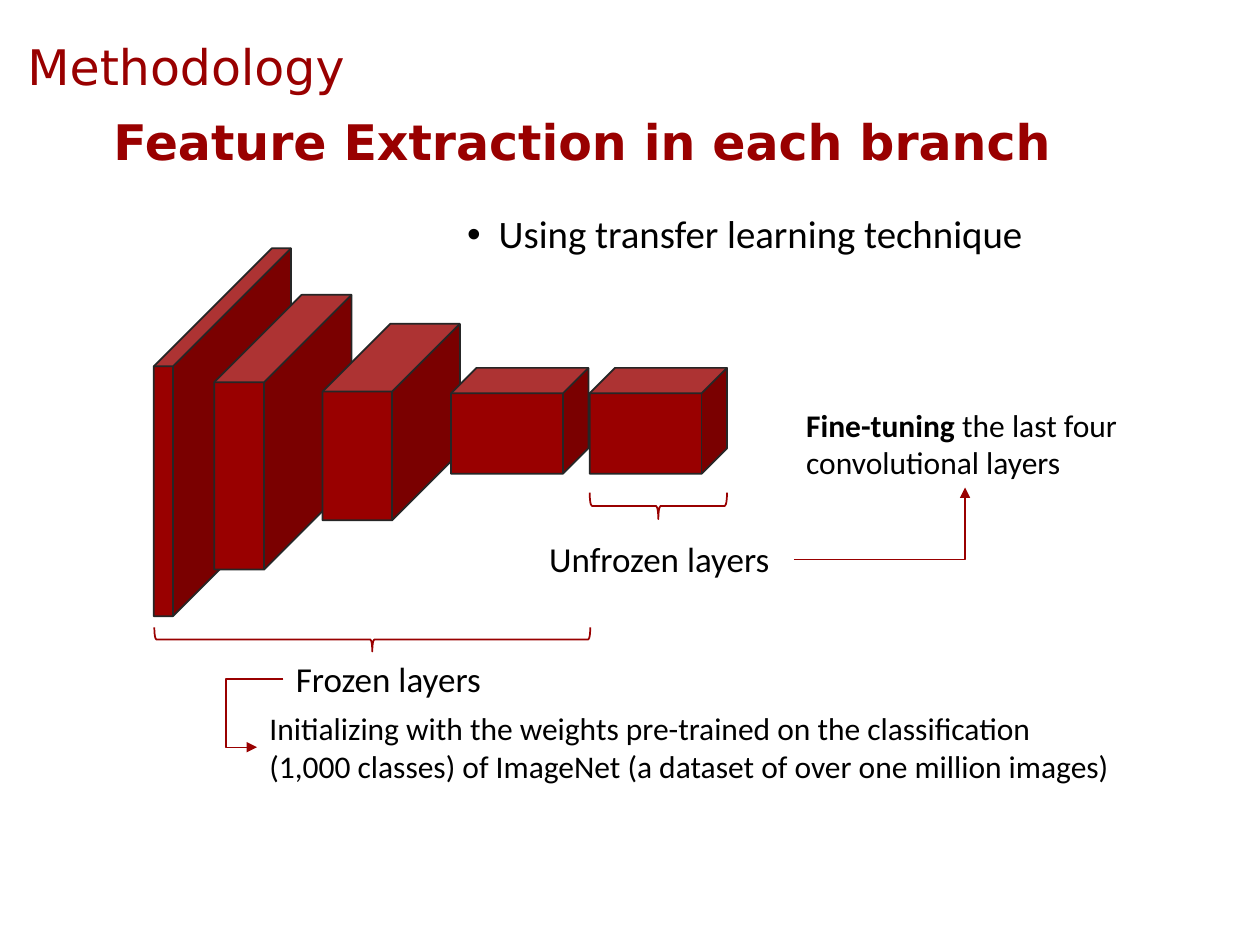
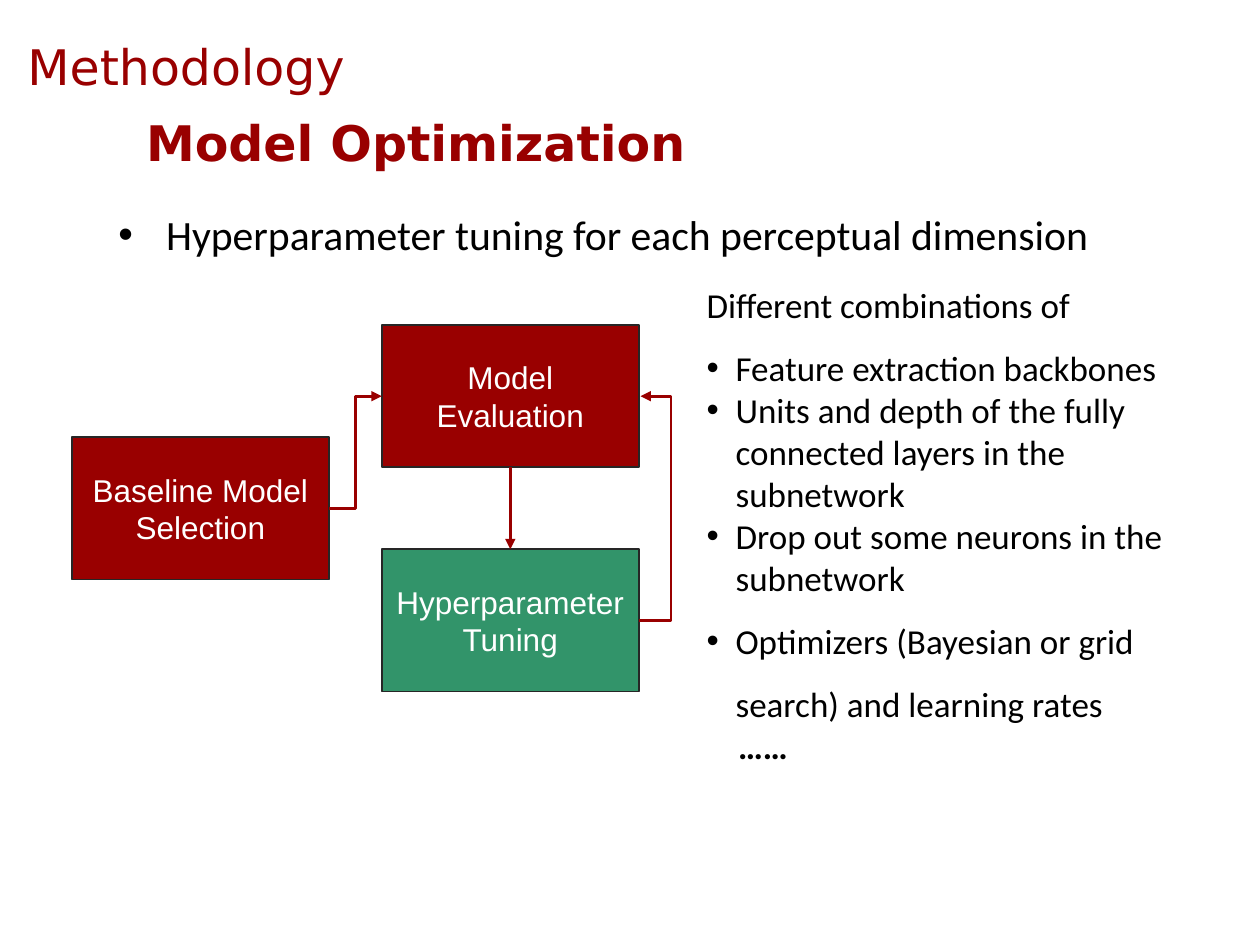
from dataclasses import dataclass
from typing import Optional

from lxml import etree
from pptx import Presentation
from pptx import util as u
from pptx.dml.color import RGBColor
from pptx.enum import shapes, text
from pptx.oxml import ns

CRIMSON = RGBColor(0x99, 0x00, 0x00)
GREEN = RGBColor(0x32, 0x94, 0x6A)
CHARCOAL = RGBColor(0x26, 0x26, 0x26)
BLACK = RGBColor(0, 0, 0)
WHITE = RGBColor(255, 255, 255)

BODY_FONT = "Calibri"
TITLE_FONT = "DejaVu Sans"
BOX_FONT = "Arial"
TITLE_SIZE = 28
SLIDE_WIDTH = u.Inches(10)
SLIDE_HEIGHT = u.Inches(7.5)
COLUMNS, ROWS = 100, 75
TITLE_ONLY = 5


@dataclass(frozen=True)
class Area:
    left: float
    top: float
    width: float
    height: float

    def emu(self) -> tuple:
        return cols(self.left), rows(self.top), cols(self.width), rows(self.height)


@dataclass(frozen=True)
class Para:
    text: str
    lead: str = ""
    indent: float = 0
    bullet: bool = False
    spacing: Optional[float] = None
    bold: bool = False


@dataclass(frozen=True)
class Caption:
    area: Area
    paras: tuple
    size: float


@dataclass(frozen=True)
class Layer:
    left: float
    top: float
    height: float
    depth: float


@dataclass(frozen=True)
class Brace:
    left: float
    top: float
    span: float
    depth: float


@dataclass(frozen=True)
class Step:
    label: str
    column: float
    row: float
    fill: RGBColor


@dataclass(frozen=True)
class Arrow:
    start: tuple
    end: tuple
    weight: float
    bend: Optional[float] = None
    preset: str = "bentConnector3"


LAYER_WIDTH = 10.9
LAYERS = (
    Layer(12.2, 19.7, 29.2, 0.86),
    Layer(17, 23.4, 21.8, 0.636),
    Layer(25.6, 25.7, 15.6, 0.493),
    Layer(35.8, 29.2, 8.4, 0.24),
    Layer(46.8, 29.2, 8.4, 0.24),
)
BRACES = (Brace(46.8, 39.1, LAYER_WIDTH, 2.1), Brace(12.25, 49.8, 34.6, 1.9))
LAYER_ARROWS = (
    Arrow((63, 44.4), (76.6, 38.7), 0.75, preset="bentConnector2"),
    Arrow((22.5, 53.9), (20.4, 59.3), 0.75, bend=2.18),
)
LAYER_CAPTIONS = (
    Caption(Area(42.6, 42.2, 20.5, 4.4), (Para("Unfrozen layers"),), 20),
    Caption(Area(22.5, 51.7, 17.6, 4.4), (Para("Frozen layers"),), 20),
    Caption(Area(63, 31.7, 27.1, 7.1),
            (Para(" the last four convolutional layers", lead="Fine-tuning"),), 18),
    Caption(Area(20.4, 55.8, 69, 7.1),
            (Para("Initializing with the weights pre-trained on the classification "
                  "(1,000 classes) of ImageNet (a dataset of over one million images)"),), 18),
    Caption(Area(36.1, 16.6, 48, 4.7),
            (Para("Using transfer learning technique", indent=2.5, bullet=True,
                  spacing=0.9),), 22.2),
)

STEP_WIDTH, STEP_HEIGHT = 20.4, 11.3
FIRST_COLUMN, SECOND_COLUMN = 5.7, 30.3
TOP_ROW, ROW_STEP = 25.8, 8.9
STEPS = (
    Step("Baseline Model Selection", FIRST_COLUMN, TOP_ROW + ROW_STEP, CRIMSON),
    Step("Model Evaluation", SECOND_COLUMN, TOP_ROW, CRIMSON),
    Step("Hyperparameter\nTuning", SECOND_COLUMN, TOP_ROW + 2 * ROW_STEP, GREEN),
)
EVALUATION_MIDDLE = TOP_ROW + STEP_HEIGHT / 2
STEP_RIGHT = SECOND_COLUMN + STEP_WIDTH
STEP_ARROWS = (
    Arrow((FIRST_COLUMN + STEP_WIDTH, EVALUATION_MIDDLE + ROW_STEP),
          (SECOND_COLUMN, EVALUATION_MIDDLE), 1.5),
    Arrow((STEP_RIGHT, EVALUATION_MIDDLE + 2 * ROW_STEP),
          (STEP_RIGHT + 0.14, EVALUATION_MIDDLE), 1.5, bend=18),
)
TUNING_CAPTIONS = (
    Caption(Area(8.4, 16.1, 83.2, 5.5),
            (Para("Hyperparameter tuning for each perceptual dimension",
                  indent=3.8, bullet=True),), 23.8),
    Caption(Area(55.1, 22, 38.4, 43.1), (
        Para("Different combinations of"),
        Para("Feature extraction backbones", indent=2.3, bullet=True, spacing=1.5),
        Para("Units and depth of the fully connected layers in the subnetwork",
             indent=2.3, bullet=True),
        Para("Drop out some neurons in the subnetwork", indent=2.3, bullet=True),
        Para("Optimizers (Bayesian or grid search) and learning rates",
             indent=2.3, bullet=True, spacing=1.5),
        Para("……", indent=2.5, bold=True),
    ), 20),
)


def cols(count: float) -> int:
    return round(SLIDE_WIDTH * count / COLUMNS)


def rows(count: float) -> int:
    return round(SLIDE_HEIGHT * count / ROWS)


def style_run(run, font: str, size: float, color: RGBColor, bold: bool = False) -> None:
    run.font.name = font
    run.font.size = u.Pt(size)
    run.font.color.rgb = color
    run.font.bold = bold


def style_heading(box, area: Area, words: str, bold: bool) -> None:
    box.left, box.top, box.width, box.height = area.emu()
    frame = box.text_frame
    frame.word_wrap = True
    frame.auto_size = text.MSO_AUTO_SIZE.NONE
    frame.vertical_anchor = text.MSO_ANCHOR.MIDDLE
    frame.text = words
    para = frame.paragraphs[0]
    para.alignment = text.PP_ALIGN.LEFT
    style_run(para.runs[0], TITLE_FONT, TITLE_SIZE, CRIMSON, bold)


def add_page(deck, heading: str, area: Area):
    page = deck.slides.add_slide(deck.slide_layouts[TITLE_ONLY])
    style_heading(page.shapes.title, area, heading, True)
    section = Area(1.2, 1.3, 27.6, 7.9)
    style_heading(page.shapes.add_textbox(*section.emu()), section, "Methodology", False)
    return page


def indent_para(para, item: Para) -> None:
    props = para._p.get_or_add_pPr()
    props.set("marL", str(cols(item.indent)))
    if item.bullet:
        props.set("indent", str(-cols(item.indent)))
        etree.SubElement(props, ns.qn("a:buFont")).set("typeface", BOX_FONT)
        etree.SubElement(props, ns.qn("a:buChar")).set("char", "•")


def add_caption(page, caption: Caption) -> None:
    frame = page.shapes.add_textbox(*caption.area.emu()).text_frame
    frame.word_wrap = True
    for index, item in enumerate(caption.paras):
        para = frame.add_paragraph() if index else frame.paragraphs[0]
        if item.indent:
            indent_para(para, item)
        if item.spacing:
            para.line_spacing = item.spacing
        if item.lead:
            para.text = item.lead
            style_run(para.runs[0], BODY_FONT, caption.size, BLACK, True)
        span = para.add_run()
        span.text = item.text
        style_run(span, BODY_FONT, caption.size, BLACK, item.bold)


def add_block(page, preset, area: Area, fill: RGBColor):
    block = page.shapes.add_shape(preset, *area.emu())
    block.shadow.inherit = False
    block.fill.solid()
    block.fill.fore_color.rgb = fill
    block.line.color.rgb = CHARCOAL
    block.line.width = u.Pt(1)
    return block


def add_layer(page, layer: Layer) -> None:
    area = Area(layer.left, layer.top, LAYER_WIDTH, layer.height)
    cube = add_block(page, shapes.MSO_SHAPE.CUBE, area, CRIMSON)
    cube.adjustments[0] = layer.depth


def add_brace(page, brace: Brace) -> None:
    area = Area(brace.left + (brace.span - brace.depth) / 2,
                brace.top + (brace.depth - brace.span) / 2, brace.depth, brace.span)
    mark = page.shapes.add_shape(shapes.MSO_SHAPE.LEFT_BRACE, *area.emu())
    mark.rotation = 270
    mark.shadow.inherit = False
    mark.fill.background()
    mark.line.color.rgb = CRIMSON
    mark.line.width = u.Pt(1)


def add_step(page, step: Step):
    area = Area(step.column, step.row, STEP_WIDTH, STEP_HEIGHT)
    box = add_block(page, shapes.MSO_SHAPE.RECTANGLE, area, step.fill)
    frame = box.text_frame
    frame.word_wrap = True
    frame.vertical_anchor = text.MSO_ANCHOR.MIDDLE
    frame.text = step.label
    for para in frame.paragraphs:
        para.alignment = text.PP_ALIGN.CENTER
        style_run(para.runs[0], BOX_FONT, 18, WHITE)
    return box


def style_arrow(connector, weight: float) -> None:
    connector.line.color.rgb = CRIMSON
    connector.line.width = u.Pt(weight)
    props = connector._element.spPr
    etree.SubElement(props.find(ns.qn("a:ln")), ns.qn("a:tailEnd")).set("type", "triangle")
    etree.SubElement(props, ns.qn("a:effectLst"))


def add_bent_arrow(page, arrow: Arrow) -> None:
    connector = page.shapes.add_connector(
        shapes.MSO_CONNECTOR.ELBOW, cols(arrow.start[0]), rows(arrow.start[1]),
        cols(arrow.end[0]), rows(arrow.end[1]))
    geometry = connector._element.spPr.find(ns.qn("a:prstGeom"))
    geometry.set("prst", arrow.preset)
    if arrow.bend is not None:
        guides = geometry.find(ns.qn("a:avLst"))
        if guides is None:
            guides = etree.SubElement(geometry, ns.qn("a:avLst"))
        guide = etree.SubElement(guides, ns.qn("a:gd"))
        guide.set("name", "adj1")
        guide.set("fmla", f"val {round(arrow.bend * 100000)}")
    style_arrow(connector, arrow.weight)


def add_down_arrow(page, upper, lower) -> None:
    connector = page.shapes.add_connector(shapes.MSO_CONNECTOR.STRAIGHT, 0, 0, 0, 0)
    connector.begin_connect(upper, 2)
    connector.end_connect(lower, 0)
    style_arrow(connector, 1.5)


def build_feature_page(deck) -> None:
    page = add_page(deck, "Feature Extraction in each branch", Area(8, 6.8, 77.4, 8.7))
    for layer in LAYERS:
        add_layer(page, layer)
    for brace in BRACES:
        add_brace(page, brace)
    for arrow in LAYER_ARROWS:
        add_bent_arrow(page, arrow)
    for caption in LAYER_CAPTIONS:
        add_caption(page, caption)


def build_optimization_page(deck) -> None:
    page = add_page(deck, "Model Optimization", Area(10.6, 6.9, 46.4, 8.7))
    baseline, evaluation, tuning = [add_step(page, step) for step in STEPS]
    for arrow in STEP_ARROWS:
        add_bent_arrow(page, arrow)
    add_down_arrow(page, evaluation, tuning)
    for caption in TUNING_CAPTIONS:
        add_caption(page, caption)


def main() -> None:
    deck = Presentation()
    deck.slide_width, deck.slide_height = SLIDE_WIDTH, SLIDE_HEIGHT
    build_feature_page(deck)
    build_optimization_page(deck)
    deck.save("out.pptx")


if __name__ == "__main__":
    main()
